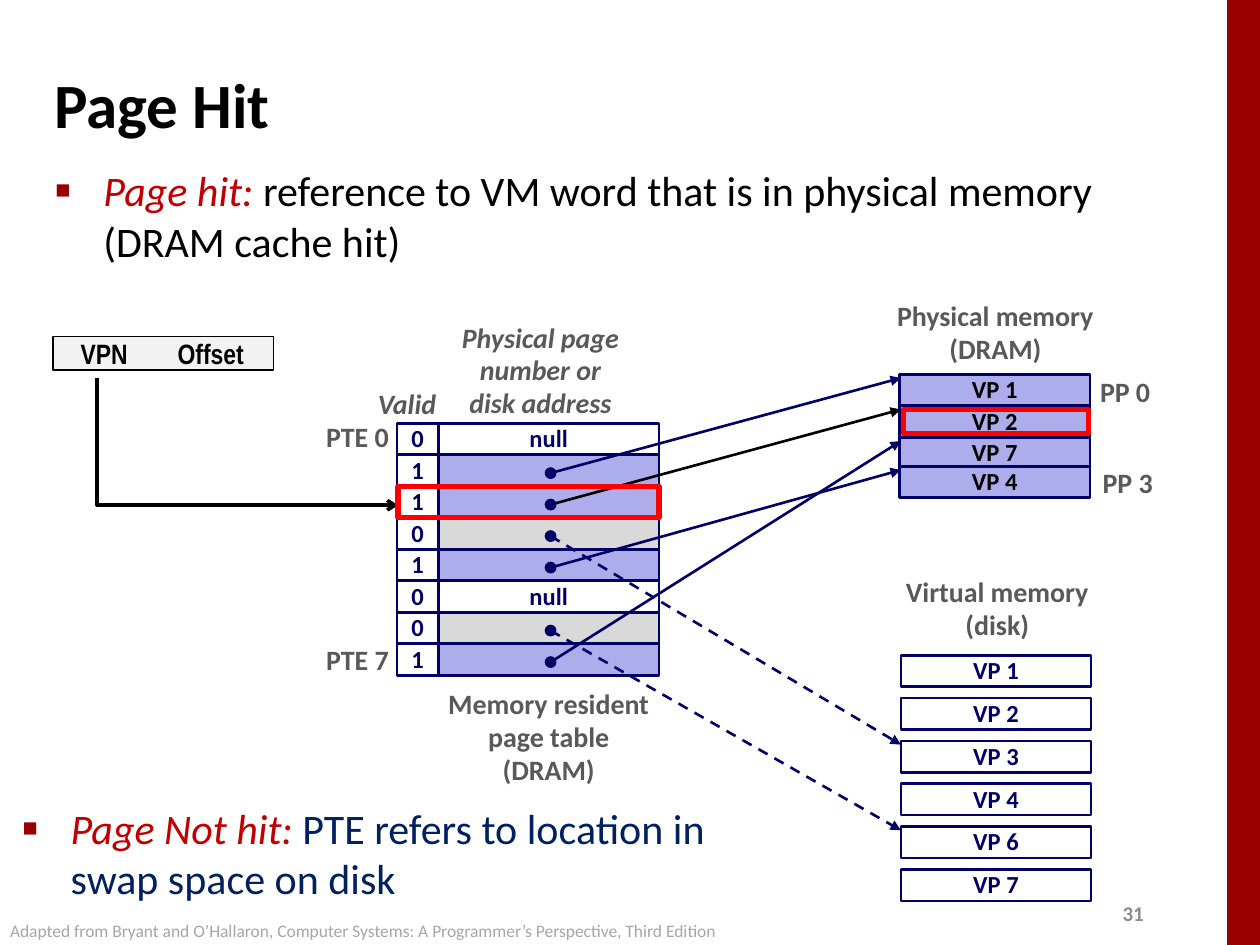
from lxml.etree import SubElement
from pptx import Presentation
from pptx.dml.color import RGBColor
from pptx.enum.dml import MSO_LINE
from pptx.enum.shapes import MSO_CONNECTOR, MSO_SHAPE
from pptx.enum.text import MSO_ANCHOR, PP_ALIGN
from pptx.oxml.ns import qn
from pptx.util import Inches, Pt

BLACK = RGBColor(0x00, 0x00, 0x00)
WHITE = RGBColor(0xFF, 0xFF, 0xFF)
NAVY = RGBColor(0x00, 0x00, 0x66)
INK = RGBColor(0x00, 0x20, 0x60)
LILAC = RGBColor(0xAD, 0xAD, 0xEB)
SILVER = RGBColor(0xD9, 0xD9, 0xD9)
PALE = RGBColor(0xF2, 0xF2, 0xF2)
LABEL = RGBColor(0x59, 0x59, 0x59)
NUMBER = RGBColor(0x8C, 0x8C, 0x8C)
CREDIT = RGBColor(0xA6, 0xA6, 0xA6)
CRIMSON = RGBColor(0xC0, 0x00, 0x00)
MAROON = RGBColor(0x99, 0x00, 0x00)
RED = RGBColor(0xFF, 0x00, 0x00)

# The slide is a grid of 40 columns by 30 rows; all positions count grid cells.
CELL = Inches(0.25)

prs = Presentation()
prs.slide_width, prs.slide_height = 40 * CELL, 30 * CELL
s = prs.slides.add_slide(prs.slide_layouts[6])


def put(box, lines=(), size=14, color=NAVY, fill=None, line=None, width=1.5,
        kind=MSO_SHAPE.RECTANGLE, align=PP_ALIGN.CENTER, anchor=MSO_ANCHOR.MIDDLE,
        bold=True, italic=False, font="Calibri", spacing=0.98):
    """Add a shape, or a text box when it has neither fill nor line; a line is a list of (text, color, italic) runs or a string."""
    place = [round(v * CELL) for v in box]
    if fill is None and line is None:
        sp = s.shapes.add_textbox(*place)
    else:
        sp = s.shapes.add_shape(kind, *place)
        sp.shadow.inherit = False
        if fill is None:
            sp.fill.background()
        else:
            sp.fill.solid()
            sp.fill.fore_color.rgb = fill
        if line is None:
            sp.line.fill.background()
        else:
            sp.line.color.rgb = line
            sp.line.width = Pt(width)
    tf = sp.text_frame
    tf.word_wrap = True
    tf.vertical_anchor = anchor
    tf.margin_left = tf.margin_right = 0
    for i, content in enumerate(lines):
        p = tf.paragraphs[0] if i == 0 else tf.add_paragraph()
        p.alignment = align
        p.line_spacing = spacing
        runs = [(content, color, italic)] if isinstance(content, str) else content
        for text, run_color, run_italic in runs:
            r = p.add_run()
            r.text = text
            r.font.name, r.font.size = font, Pt(size)
            r.font.bold, r.font.italic = bold, run_italic
            r.font.color.rgb = run_color
    return sp


def arrow(start, end, color, width=1.5, head="triangle", kind=MSO_CONNECTOR.STRAIGHT):
    c = s.shapes.add_connector(kind, *[round(v * CELL) for v in (*start, *end)])
    c.line.color.rgb = color
    c.line.width = Pt(width)
    SubElement(c.line._get_or_add_ln(), qn("a:tailEnd"), type=head)
    SubElement(c._element.spPr, qn("a:effectLst"))
    return c


# Side band, title, page number and credit
put((38.96, 0, 1.04, 30), fill=MAROON)
put((1.72, 1.56, 36, 3.44), ["Page Hit"], 36, BLACK, align=PP_ALIGN.LEFT, spacing=1)
put((35.64, 28.4, 1.6, 1.2), ["31"], 12, NUMBER, align=PP_ALIGN.LEFT, spacing=1)
put((0.32, 29, 26, 1.08),
    ["Adapted from Bryant and O’Hallaron, Computer Systems: "
     "A Programmer’s Perspective, Third Edition"],
    10, CREDIT, align=PP_ALIGN.LEFT, anchor=MSO_ANCHOR.TOP, bold=False, spacing=1)

# Bullets
bullets = [
    ((1.76, 5.04, 35.56, 2.64), "Page hit: ",
     "reference to VM word that is in physical memory (DRAM cache hit)", BLACK),
    ((0.72, 25.28, 22.04, 2.64), "Page Not hit: ",
     "PTE refers to location in swap space on disk", INK),
]
for box, term, meaning, color in bullets:
    sp = put(box, [[(term, CRIMSON, True), (meaning, color, False)]], 24,
             align=PP_ALIGN.LEFT, anchor=MSO_ANCHOR.TOP, bold=False, spacing=1)
    pPr = sp.text_frame.paragraphs[0]._p.get_or_add_pPr()
    pPr.set("marL", str(Inches(0.38)))
    pPr.set("indent", str(-Inches(0.38)))
    SubElement(SubElement(pPr, qn("a:buClr")), qn("a:srgbClr"), val=str(MAROON))
    SubElement(pPr, qn("a:buSzPct"), val="60000")
    SubElement(pPr, qn("a:buFont"), typeface="Arial")
    SubElement(pPr, qn("a:buChar"), char="■")

# Memories: the height of each page's top edge
DRAM_LEFT, DISK_LEFT, PAGE_WIDTH = 28.56, 28.6, 6.04
dram = {"VP 1": 11.88, "VP 2": 12.88, "VP 7": 13.88, "VP 4": 14.8}
disk = {f"VP {n}": 20.8 + 1.36 * i for i, n in enumerate((1, 2, 3, 4, 6, 7))}
for name, top in dram.items():
    put((DRAM_LEFT, top, PAGE_WIDTH, 1), [name], color=BLACK, fill=LILAC, line=NAVY)
for name, top in disk.items():
    put((DISK_LEFT, top, PAGE_WIDTH, 1), [name], fill=WHITE, line=NAVY)

# Page table: valid bit and the page each entry points to
VALID_LEFT, ADDRESS_LEFT, TABLE_TOP, DOT_X, DOT = 12.6, 13.92, 13.44, 17.48, 0.32
entries = [(0, None), (1, "VP 1"), (1, "VP 2"), (0, "VP 3"),
           (1, "VP 4"), (0, None), (0, "VP 6"), (1, "VP 7")]
for row, (valid, page) in enumerate(entries):
    top = TABLE_TOP + row
    fill = WHITE if page is None else LILAC if valid else SILVER
    put((ADDRESS_LEFT, top, 7, 1), [] if page else ["null"], fill=fill, line=NAVY)
    put((VALID_LEFT, top, ADDRESS_LEFT - VALID_LEFT, 1), [str(valid)], line=NAVY)
for row, (valid, page) in enumerate(entries):
    if page is None:
        continue
    y = TABLE_TOP + row + 0.58
    target = (dram if valid else disk)[page] + 0.12
    c = arrow((DOT_X, y), (DISK_LEFT, target), BLACK if page == "VP 2" else NAVY)
    if not valid:
        c.line.dash_style = MSO_LINE.DASH
    put((DOT_X - DOT / 2, y - DOT / 2, DOT, DOT), fill=NAVY, line=NAVY, width=1,
        kind=MSO_SHAPE.OVAL)

# Labels
labels = [
    ((13.72, 21.64, 7.4, 3.56), ["Memory resident", "page table", "(DRAM)"], False),
    ((28.04, 9.32, 7.12, 2.52), ["Physical memory", "(DRAM)"], False),
    ((28.28, 18.08, 6.76, 2.52), ["Virtual memory", "(disk)"], False),
    ((11.42, 12.12, 3, 1.48), ["Valid"], True),
    ((14.24, 10, 5.84, 3.56), ["Physical page", "number or", "disk address"], True),
    ((9.95, 13.16, 2.8, 1.48), ["PTE 0"], False),
    ((9.95, 20.24, 2.8, 1.48), ["PTE 7"], False),
    ((34.52, 11.72, 2.4, 1.48), ["PP 0"], False),
    ((34.6, 14.6, 2.4, 1.48), ["PP 3"], False),
]
for box, lines, italic in labels:
    put(box, lines, 16, LABEL, italic=italic)

# Virtual address and the entry it selects
address = put((1.68, 10.68, 7, 1.08), ["VPN\tOffset"], 16, BLACK, fill=PALE, line=BLACK,
              width=1, align=PP_ALIGN.LEFT, font="Arial Narrow", spacing=1)
address.text_frame.margin_left = Inches(0.22)
tabs = SubElement(address.text_frame.paragraphs[0]._p.get_or_add_pPr(), qn("a:tabLst"))
SubElement(tabs, qn("a:tab"), pos=str(Inches(0.77)), algn="l")

lookup = arrow((3.08, 12), (12.64, 16.04), BLACK, 2, "arrow", MSO_CONNECTOR.ELBOW)
guides = lookup._element.spPr.find(qn("a:prstGeom")).find(qn("a:avLst"))
SubElement(guides, qn("a:gd"), name="adj1", fmla="val 0")

for box in ((28.68, 13, 5.88, 0.76), (12.64, 15.44, 8.28, 1)):
    put(box, line=RED, width=3)

prs.save("out.pptx")
